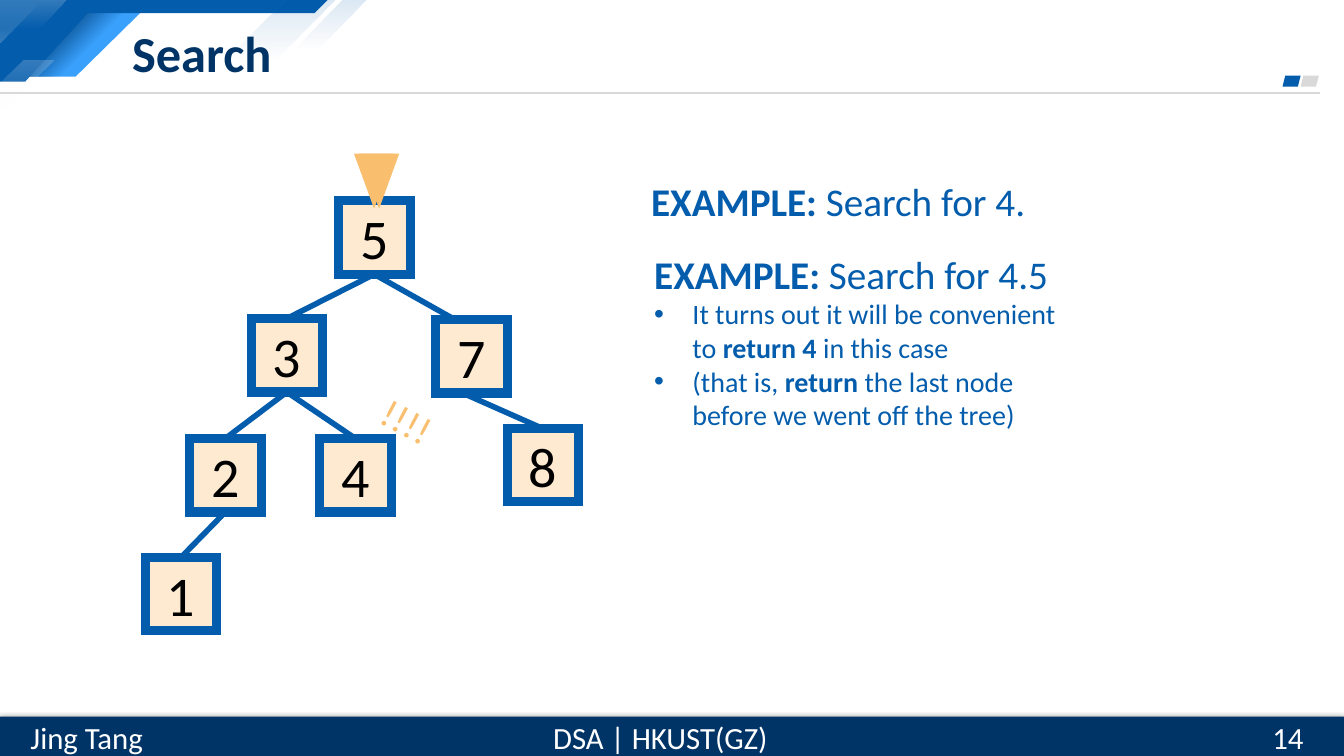
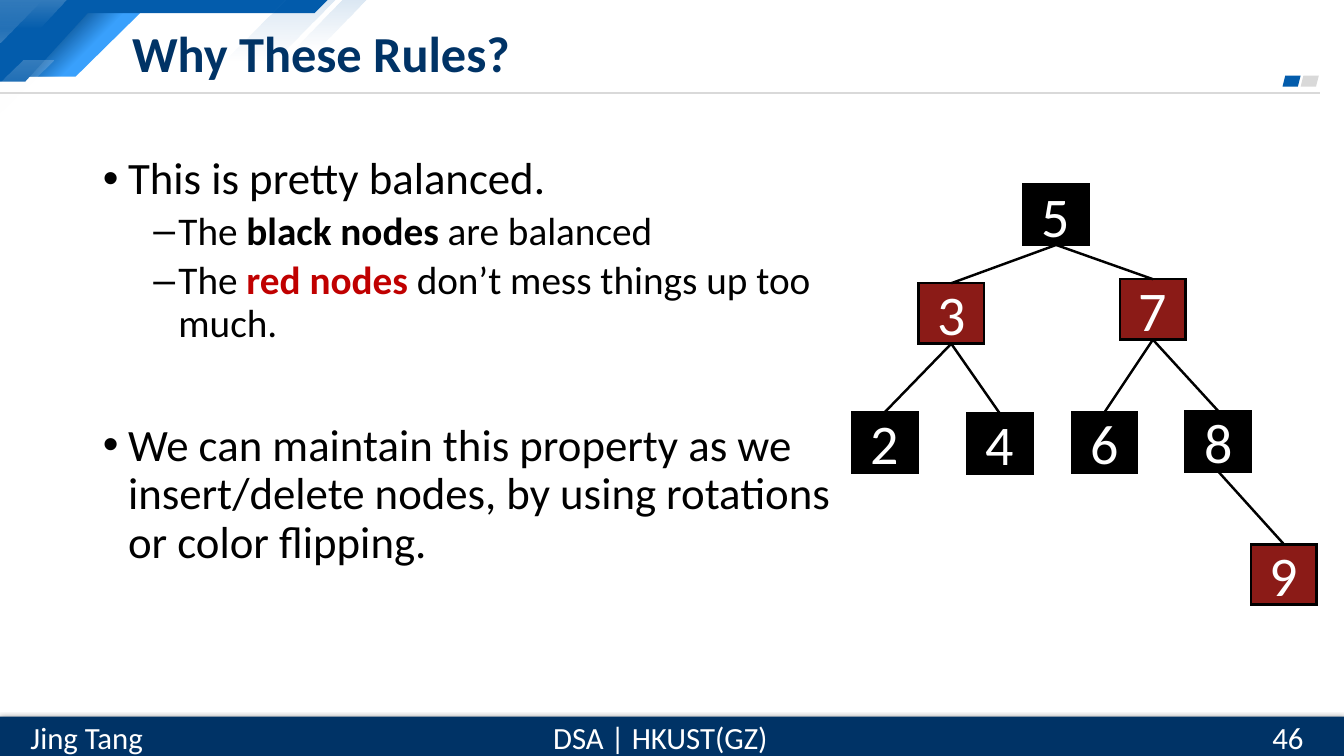
from dataclasses import dataclass

from pptx import Presentation
from pptx import util as u
from pptx.dml.color import RGBColor
from pptx.enum import shapes, text
from pptx.oxml import parse_xml
from pptx.oxml.ns import nsdecls, qn

PX = 9144
SLIDE_W, SLIDE_H = 1333, 750
BAR_TOP, FOOTER_TOP, FOOTER_H = 711, 708, 47
FONT = "Calibri"
TITLE_SIZE, FOOTER_SIZE, NODE_SIZE = 36, 22, 40
C = {
    "navy": "003366", "blue": "035CAC", "sky": "39A0FC", "deep": "024581",
    "white": "FFFFFF", "black": "000000", "gray": "D9D9D9", "cream": "FDEAD1",
    "amber": "F9BF6F", "red": "C00000", "brick": "8B1B17",
}
SHAPE = shapes.MSO_SHAPE
ALIGN = text.PP_ALIGN
TOP, MIDDLE = text.MSO_ANCHOR.TOP, text.MSO_ANCHOR.MIDDLE
BOTTOM_SITE, TOP_SITE = 2, 0


@dataclass
class TreeStyle:
    width: int
    height: int
    border: str
    border_pt: float
    edge_pt: float
    label: str


SEARCH_TREE = TreeStyle(71, 73, "blue", 6.5, 4, "black")
RED_BLACK_TREE = TreeStyle(65, 60, "black", 1.75, 1.75, "white")


def px(*values):
    return [u.Emu(v * PX) for v in values]


def rgb(name):
    return RGBColor.from_string(C[name])


def run(words, bold=False, color=None):
    return words, bold, color


def add_runs(p, runs, size, color):
    for words, bold, own_color in runs:
        r = p.add_run()
        r.text = words
        f = r.font
        f.name, f.size, f.bold = FONT, u.Pt(size), bold
        f.color.rgb = rgb(own_color or color)


def set_bullet(p, char, left, hanging):
    pPr = p._p.get_or_add_pPr()
    pPr.set("marL", str(left * PX))
    pPr.set("indent", str(-hanging * PX))
    for tag in ('buFont {} typeface="Arial"', f'buChar {{}} char="{char}"'):
        pPr.append(parse_xml(f'<a:{tag.format(nsdecls("a"))}/>'))


def fill_frame(sp, runs, size, color, align=ALIGN.LEFT, anchor=TOP):
    tf = sp.text_frame
    tf.word_wrap = True
    tf.vertical_anchor = anchor
    p = tf.paragraphs[0]
    p.alignment = align
    add_runs(p, runs, size, color)
    return tf


def add_text(s, box, runs, size, color, **layout):
    sp = s.shapes.add_textbox(*px(*box))
    fill_frame(sp, runs, size, color, **layout)
    return sp


def paint(sp, fill, line=None, width=1):
    sp.shadow.inherit = False
    sp.fill.solid()
    sp.fill.fore_color.rgb = rgb(fill)
    if line:
        sp.line.color.rgb = rgb(line)
        sp.line.width = u.Pt(width)
        ln = sp.element.spPr.find(qn("a:ln"))
        ln.append(parse_xml(f'<a:miter {nsdecls("a")} lim="800000"/>'))
    else:
        sp.line.fill.background()
    return sp


def add_shape(s, kind, box, fill, line=None, width=1):
    return paint(s.shapes.add_shape(kind, *px(*box)), fill, line, width)


def add_outline(s, points, fill):
    builder = s.shapes.build_freeform(*points[0], scale=PX)
    builder.add_line_segments(points[1:], close=True)
    return paint(builder.convert_to_shape(), fill)


def fade(sp, color, stops, angle=90):
    gs = "".join(
        f'<a:gs pos="{pos * 1000}"><a:srgbClr val="{C[color]}">'
        f'<a:alpha val="{alpha * 1000}"/></a:srgbClr></a:gs>'
        for pos, alpha in stops)
    spPr = sp.element.spPr
    spPr.replace(spPr.find(qn("a:solidFill")), parse_xml(
        f'<a:gradFill {nsdecls("a")} rotWithShape="1"><a:gsLst>{gs}</a:gsLst>'
        f'<a:lin ang="{angle * 60000}" scaled="0"/></a:gradFill>'))


def add_line(s, start, end, color, width):
    cx = s.shapes.add_connector(shapes.MSO_CONNECTOR.STRAIGHT, *px(*start, *end))
    cx.line.color.rgb = rgb(color)
    cx.line.width = u.Pt(width)
    cx.element.spPr.append(parse_xml(f'<a:effectLst {nsdecls("a")}/>'))
    return cx


def add_tree(s, nodes, edges, style, shifts):
    boxes = {}
    for label, (x, y, fill) in nodes.items():
        box = (x, y, style.width, style.height)
        boxes[label] = add_shape(s, SHAPE.RECTANGLE, box, fill, style.border, style.border_pt)
        fill_frame(boxes[label], [run(label)], NODE_SIZE, style.label,
                   align=ALIGN.CENTER, anchor=MIDDLE)
    half = style.width // 2
    for parent, child in edges:
        (px_left, px_top, _), (ch_left, ch_top, _) = nodes[parent], nodes[child]
        start_shift, end_shift = shifts.get(parent + child, (0, 0))
        cx = add_line(s, (px_left + half + start_shift, px_top + style.height),
                      (ch_left + half + end_shift, ch_top), style.border, style.edge_pt)
        if parent + child not in shifts:
            cx.begin_connect(boxes[parent], BOTTOM_SITE)
            cx.end_connect(boxes[child], TOP_SITE)


def add_corner(s):
    ribbon = [(84, 7), (145, 7), (75, 76), (16, 76)]
    add_outline(s, ribbon, "sky")
    fade(add_outline(s, ribbon, "deep"), "deep", [(29, 100), (57, 0)], angle=45)
    add_outline(s, [(0, 0), (325, 0), (312, 13), (87, 13), (25, 81), (0, 81)], "blue")
    triangle = add_shape(s, SHAPE.RIGHT_TRIANGLE, (0, 0, 42, 42), "white")
    triangle.element.spPr.xfrm.set("flipV", "1")
    fade(triangle, "white", [(0, 20), (100, 0)])
    streaks = [
        ("white", 20, [(0, 0), (66, 0), (39, 28), (0, 28)]),
        ("blue", 15, [(284, 0), (333, 0), (272, 61), (222, 61)]),
        ("blue", 15, [(340, 0), (364, 0), (315, 49), (291, 49)]),
        ("white", 20, [(23, 60), (53, 60), (0, 113), (0, 83)]),
    ]
    for color, alpha, points in streaks:
        fade(add_outline(s, points, color), color, [(0, alpha), (100, 0)])


def add_title_rule(s):
    add_line(s, (0, 92), (1309, 92), "gray", 1.5)
    for x, color in ((1290, "gray"), (1272, "blue")):
        add_shape(s, SHAPE.PARALLELOGRAM, (x, 75, 18, 11), color)


def add_footer(s):
    bar = add_shape(s, SHAPE.RECTANGLE, (0, BAR_TOP, SLIDE_W, SLIDE_H - BAR_TOP), "navy")
    bar.element.spPr.find(qn("a:effectLst")).append(parse_xml(
        f'<a:outerShdw {nsdecls("a")} blurRad="57150" dist="19050" dir="5400000">'
        f'<a:srgbClr val="{C["black"]}"><a:alpha val="63000"/></a:srgbClr></a:outerShdw>'))
    for left, width, words in ((536, 238, "DSA | HKUST(GZ)"), (16, 140, "Jing Tang")):
        sp = add_text(s, (left, FOOTER_TOP, width, FOOTER_H), [run(words)],
                      FOOTER_SIZE, "white", align=ALIGN.CENTER, anchor=MIDDLE)
        sp.text_frame.word_wrap = False


def move_to_master(prs, s):
    tree = prs.slide_master.shapes.element
    decorations = [sp for sp in s.shapes if not sp.is_placeholder]
    for i, sp in enumerate(decorations):
        sp.element.xpath(".//p:cNvPr")[0].set("id", str(100 + i))
        tree.insert(2 + i, sp.element)


def place(sp, box):
    sp.left, sp.top, sp.width, sp.height = px(*box)
    sp.text_frame.auto_size = text.MSO_AUTO_SIZE.NONE


def add_slide(prs, layout, title):
    s = prs.slides.add_slide(prs.slide_layouts.get_by_name(layout))
    place(s.shapes.title, (121, 17, 1021, 69))
    fill_frame(s.shapes.title, [run(title, True)], TITLE_SIZE, "navy", anchor=MIDDLE)
    return s


def add_number(s, number):
    add_text(s, (1252, FOOTER_TOP, 81, FOOTER_H), [run(number)],
             FOOTER_SIZE, "white", anchor=MIDDLE)


def add_example(s, box, query, notes=()):
    heading = [run("EXAMPLE: ", True), run(query)]
    tf = add_text(s, box, heading, 28, "blue").text_frame
    for note in notes:
        p = tf.add_paragraph()
        set_bullet(p, "•", 38, 38)
        add_runs(p, note, 20, "blue")


def add_outline_list(sp, items):
    levels = [("•", 25, 32), ("–", 75, 28)]
    tf = sp.text_frame
    for i, (level, before, runs) in enumerate(items):
        p = tf.add_paragraph() if i else tf.paragraphs[0]
        char, left, size = levels[level]
        p.level = level
        set_bullet(p, char, left, 25)
        p.line_spacing = 0.9
        p.space_before = u.Pt(before)
        add_runs(p, runs, size, "black")


def fill_search(s):
    positions = {"4": (317, 435), "2": (188, 435), "8": (503, 425), "7": (432, 317),
                 "1": (144, 553), "3": (249, 316), "5": (336, 199)}
    nodes = {label: (x, y, "cream") for label, (x, y) in positions.items()}
    add_tree(s, nodes, ["57", "78", "34", "53", "32", "21"], SEARCH_TREE,
             shifts={"57": (0, -16), "78": (-8, 0)})
    for x in (352, 357):
        pointer = add_shape(s, SHAPE.ISOSCELES_TRIANGLE, (x, 153, 38, 52), "amber", "amber")
        pointer.rotation = 180
    add_example(s, (636, 171, 426, 57), "Search for 4.")
    add_example(s, (639, 243, 436, 192), "Search for 4.5", [
        [run("It turns out it will be convenient to "), run("return 4 ", True),
         run("in this case")],
        [run("(that is, "), run("return", True),
         run(" the last node before we went off the tree)")],
    ])
    add_text(s, (367, 395, 97, 57), [run("!!!!")], 28, "amber").rotation = 27.8


def fill_rules(s):
    body = s.placeholders[1]
    place(body, (92, 150, 762, 512))
    add_outline_list(body, [
        (0, 0, [run("This is pretty balanced.")]),
        (1, 5, [run("The "), run("black nodes ", True), run("are balanced")]),
        (1, 5, [run("The "), run("red nodes ", True, "red"),
                run("don’t mess things up too much.")]),
        (0, 55, [run("We can maintain this property as we insert/delete nodes, "
                     "by using rotations or color flipping.")]),
    ])
    nodes = {"4": (959, 410, "black"), "2": (845, 409, "black"),
             "8": (1176, 408, "black"), "7": (1111, 277, "brick"),
             "3": (911, 281, "brick"), "5": (1015, 183, "black"),
             "6": (1063, 409, "black"), "9": (1241, 540, "brick")}
    add_tree(s, nodes, ["57", "78", "34", "32", "76", "53", "89"], RED_BLACK_TREE, shifts={})


def main():
    prs = Presentation()
    prs.slide_width, prs.slide_height = px(SLIDE_W, SLIDE_H)

    search = add_slide(prs, "Title Only", "Search")
    for add_part in (add_corner, add_title_rule, add_footer):
        add_part(search)
    move_to_master(prs, search)
    add_number(search, "14")
    fill_search(search)

    rules = add_slide(prs, "Title and Content", "Why These Rules?")
    add_number(rules, "46")
    fill_rules(rules)

    prs.save("out.pptx")


if __name__ == "__main__":
    main()
